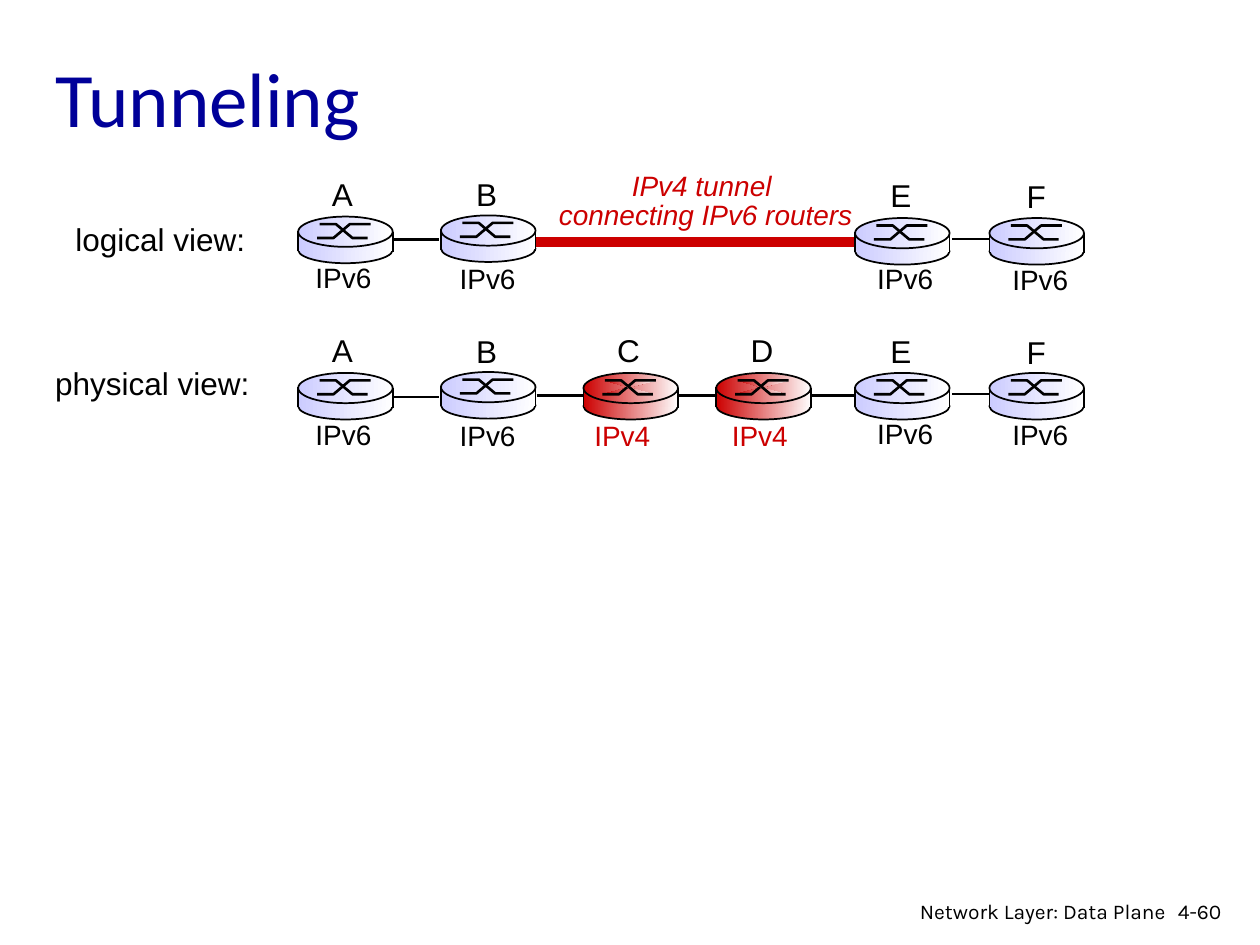
import pptx
import pptx.dml.color
import pptx.enum.shapes
import pptx.enum.text
import pptx.oxml.ns
import pptx.util
from lxml import etree

Pt = pptx.util.Pt
SHAPE = pptx.enum.shapes.MSO_SHAPE
ALIGN = pptx.enum.text.PP_ALIGN
COLORS = {"black": "000000", "white": "FFFFFF", "navy": "000099",
          "red": "CC0000", "lilac": "CCCCFF"}


def rgb(name):
    return pptx.dml.color.RGBColor.from_string(COLORS[name])


class Deck:
    """Holds the style and the current slide."""
    font, footer_font, title_font = "Arial", "Karla", "Calibri"
    name_size, label_size, footer_size = 18, 16, 12

    def __init__(self):
        self.prs = pptx.Presentation()
        self.prs.slide_width, self.prs.slide_height = Pt(720), Pt(540)
        self.s = self.prs.slides.add_slide(self.prs.slide_layouts[5])

    def run(self, p, text, size, color="black", font=None, italic=False):
        r = p.add_run()
        r.text = text
        r.font.name, r.font.size = font or self.font, Pt(size)
        r.font.color.rgb = rgb(color)
        r.font.italic = italic

    def title(self, text, x, y, w, h):
        sp = self.s.shapes.title
        sp.left, sp.top, sp.width, sp.height = Pt(x), Pt(y), Pt(w), Pt(h)
        sp.text_frame.vertical_anchor = pptx.enum.text.MSO_ANCHOR.MIDDLE
        p = sp.text_frame.paragraphs[0]
        p.alignment = ALIGN.LEFT
        self.run(p, text, 44, "navy", self.title_font)

    def text(self, lines, x, y, w, h, size, align=ALIGN.LEFT, wrap=False,
             spacing=None, **style):
        tf = self.s.shapes.add_textbox(Pt(x), Pt(y), Pt(w), Pt(h)).text_frame
        tf.word_wrap = wrap
        if not wrap:
            tf.auto_size = pptx.enum.text.MSO_AUTO_SIZE.SHAPE_TO_FIT_TEXT
        for i, line in enumerate(lines):
            p = tf.add_paragraph() if i else tf.paragraphs[0]
            p.alignment = align
            if spacing:
                p.line_spacing = spacing
            self.run(p, line, size, **style)

    def line(self, x1, y1, x2, y2, width=1.5, parent=None):
        shapes = (parent or self.s).shapes
        sp = shapes.add_connector(pptx.enum.shapes.MSO_CONNECTOR.STRAIGHT,
                                  Pt(x1), Pt(y1), Pt(x2), Pt(y2))
        sp.line.color.rgb, sp.line.width = rgb("black"), Pt(width)
        etree.SubElement(sp._element.spPr, pptx.oxml.ns.qn("a:effectLst"))

    def bar(self, x, y, w, h, color):
        sp = self.s.shapes.add_shape(SHAPE.RECTANGLE, Pt(x), Pt(y), Pt(w), Pt(h))
        sp.shadow.inherit = False
        sp.fill.solid()
        sp.fill.fore_color.rgb = sp.line.color.rgb = rgb(color)
        sp.line.width = Pt(0.75)

    def fade(self, sp, color):
        sp.fill.gradient()
        sp.fill.gradient_angle = 0
        for stop, name, pos in zip(sp.fill.gradient_stops, (color, "white"), (0, 1)):
            stop.color.rgb, stop.position = rgb(name), pos

    def router(self, x, y, color):
        group = self.s.shapes.add_group_shape()
        # Body: lower rim, side band and top disc
        for kind, dy, w, h in ((SHAPE.OVAL, 11.5, 54, 15.1),
                               (SHAPE.RECTANGLE, 10, 54.5, 9.4),
                               (SHAPE.OVAL, 0, 54, 17.3)):
            sp = group.shapes.add_shape(kind, Pt(x), Pt(y + dy), Pt(w), Pt(h))
            sp.shadow.inherit = False
            self.fade(sp, color)
            if kind == SHAPE.OVAL:
                sp.line.color.rgb, sp.line.width = rgb("black"), Pt(1)
            else:
                sp.line.fill.background()
        # Crossed paths on the disc
        low, high = y + 12.2, y + 4.3
        for xs, y1, y2 in (((10.8, 20.2, 29.5, 41.4), low, high),
                           ((12.2, 21.6, 31, 39.6), high, low)):
            pts = [(Pt(x + dx), Pt(py)) for dx, py in zip(xs, (y1, y1, y2, y2))]
            fb = group.shapes.build_freeform(*pts[0], scale=1.0)
            fb.add_line_segments(pts[1:], close=False)
            sp = fb.convert_to_shape()
            sp.shadow.inherit = False
            if color == "red":
                self.fade(sp, color)
            else:
                sp.fill.background()
            sp.line.color.rgb, sp.line.width = rgb("black"), Pt(1.5)
        # Sides
        for dx, dy in ((0, 8), (54, 8.6)):
            self.line(x + dx, y + dy, x + dx, y + dy + 11.5, 1, group)

    def node(self, name, x, y, name_dx, label_dx, name_y, label_y, version):
        old = version == "IPv4"
        self.router(x, y, "red" if old else "lilac")
        self.text([name], x + name_dx, name_y, 26.6, 28.8, self.name_size)
        self.text([version], x + label_dx, label_y, 46.8, 26.6, self.label_size,
                  color="red" if old else "black")


# Router: left edge, offset of its name, offset of its protocol label
COLUMNS = {"A": (170.4, 12.2, 2.8), "B": (252, 13, 3.6), "C": (333.4, 12.2, -0.8),
           "D": (409.3, 12.6, 1.8), "E": (488.6, 13.2, 5.6), "F": (565.4, 14.2, 6)}
# Each view: router tops, name tops, label tops
LOGICAL = {"A": (123.8, 96.5, 145.6), "B": (123.1, 96.7, 145.9),
           "E": (124.6, 97.2, 146.2), "F": (124.6, 97.6, 146.4)}
PHYSICAL = {"A": (213.1, 185.8, 235.2), "B": (212.6, 186.3, 235.6),
            "C": (213.1, 185.8, 235.6), "D": (213.1, 185.8, 235.6),
            "E": (213.1, 186, 234.6), "F": (213.1, 186.6, 235)}


def main():
    d = Deck()
    d.title("Tunneling", 24.5, 16.6, 612, 77.8)

    # Logical view: links, tunnel and its caption
    d.text(["logical view:"], 36, 122.4, 111.6, 28.8, d.name_size)
    d.line(225.4, 136.8, 250.6, 136.8)
    d.line(544.3, 136.5, 570.2, 136.5)
    d.bar(303.1, 135.6, 189.4, 5, "red")
    d.text(["IPv4 tunnel ", "connecting IPv6 routers"], 311.8, 95.8, 182.9, 40.3,
           d.label_size, ALIGN.CENTER, spacing=0.85, color="red", italic=True)

    # Physical view: links
    d.text(["physical view:"], 24.5, 204.5, 125.3, 28.8, d.name_size)
    d.line(225.4, 226.8, 250.6, 226.8)
    d.line(306.7, 226, 489.6, 226)
    d.line(544.3, 225.2, 569.5, 225.2)

    # Routers of both views
    for view in (LOGICAL, PHYSICAL):
        for name, (y, name_y, label_y) in view.items():
            x, name_dx, label_dx = COLUMNS[name]
            d.node(name, x, y, name_dx, label_dx, name_y, label_y,
                   "IPv4" if name in "CD" else "IPv6")

    # Footer
    d.text(["4-60"], 666, 509.8, 43.9, 21.6, d.footer_size, wrap=True,
           font=d.footer_font)
    d.text(["Network Layer: Data Plane"], 501.8, 509.8, 171.4, 18.7, d.footer_size,
           ALIGN.RIGHT, wrap=True, font=d.footer_font)
    d.prs.save("out.pptx")


if __name__ == "__main__":
    main()
